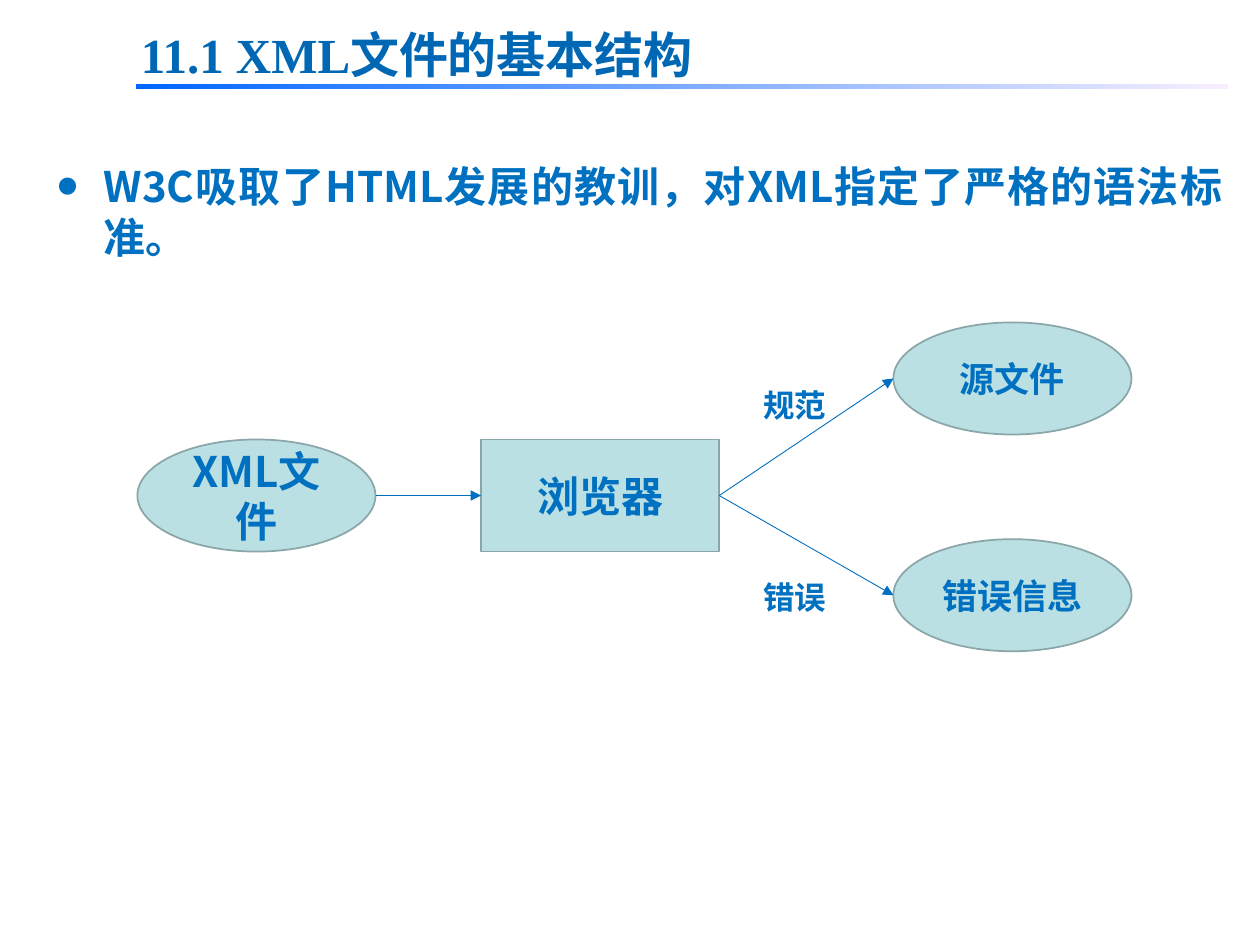
import dataclasses

import pptx
import pptx.dml.color
import pptx.enum.shapes
import pptx.enum.text
import pptx.oxml
import pptx.oxml.ns
import pptx.util

Cm = pptx.util.Cm
Pt = pptx.util.Pt
Align = pptx.enum.text.PP_ALIGN
Anchor = pptx.enum.text.MSO_ANCHOR
Kind = pptx.enum.shapes.MSO_SHAPE
NODE_W, NODE_H = 4.8, 2.26


@dataclasses.dataclass(frozen=True)
class Theme:
    ink: str = "0070C0"
    title: str = "0067B4"
    fill: str = "BBE0E3"
    edge: str = "8AA6A8"
    start: str = "0066FF"
    end: str = "F7EFFF"
    cjk: str = "Noto Sans CJK SC"
    sans: str = "Arial"
    alt: str = "Karla"
    serif: str = "Times New Roman"
    head: int = 28
    large: int = 24
    mid: int = 20
    small: int = 18


THEME = Theme()


def rgb(code):
    return pptx.dml.color.RGBColor.from_string(code)


def add_xml(parent, tag, **attrs):
    node = pptx.oxml.parse_xml(f"<a:{tag} {pptx.oxml.ns.nsdecls('a')}/>")
    for key, val in attrs.items():
        node.set(key, str(val))
    parent.append(node)


def write(shape, text, size=THEME.large, font=THEME.cjk, color=THEME.ink,
          align=Align.LEFT, anchor=Anchor.TOP):
    frame = shape.text_frame
    frame.word_wrap = True
    frame.vertical_anchor = anchor
    para = frame.paragraphs[0]
    para.alignment = align
    run = para.add_run()
    run.text = text
    run.font.size = Pt(size)
    run.font.bold = True
    run.font.name = font
    run.font.color.rgb = rgb(color)
    add_xml(run.font._element, "ea", typeface=THEME.cjk)
    return para


def add_text(slide, text, left, top, width, height, **style):
    box = slide.shapes.add_textbox(Cm(left), Cm(top), Cm(width), Cm(height))
    return write(box, text, **style)


def add_point(slide, text, *place):
    para = add_text(slide, text, *place, align=Align.JUSTIFY)
    para.space_before = Pt(THEME.large * 0.2)
    props = para._p.get_or_add_pPr()
    props.set("marL", str(Cm(0.95)))
    props.set("indent", str(Cm(-0.95)))
    add_xml(props, "buSzPct", val=150000)
    add_xml(props, "buFont", typeface=THEME.sans)
    add_xml(props, "buChar", char="•")


def add_node(slide, kind, text, left, top, **style):
    node = slide.shapes.add_shape(kind, Cm(left), Cm(top), Cm(NODE_W), Cm(NODE_H))
    node.shadow.inherit = False
    node.fill.solid()
    node.fill.fore_color.rgb = rgb(THEME.fill)
    node.line.color.rgb = rgb(THEME.edge)
    node.line.width = Pt(1)
    write(node, text, align=Align.CENTER, anchor=Anchor.MIDDLE, **style)
    return node


def add_arrow(slide, source, target):
    line = slide.shapes.add_connector(
        pptx.enum.shapes.MSO_CONNECTOR.STRAIGHT,
        source.left + source.width, source.top + source.height // 2,
        target.left, target.top + target.height // 2)
    line.line.color.rgb = rgb(THEME.ink)
    line.line.width = Pt(0.5)
    add_xml(line.line._get_or_add_ln(), "tailEnd", type="triangle")
    add_xml(line._element.spPr, "effectLst")


def add_rule(slide, left, top, width, height):
    bar = slide.shapes.add_shape(Kind.RECTANGLE, Cm(left), Cm(top), Cm(width), Cm(height))
    bar.shadow.inherit = False
    bar.line.fill.background()
    bar.fill.gradient()
    bar.fill.gradient_angle = 0
    for stop, color in zip(bar.fill.gradient_stops, (THEME.start, THEME.end)):
        stop.color.rgb = rgb(color)


def main():
    deck = pptx.Presentation()
    deck.slide_width, deck.slide_height = Cm(25.4), Cm(19.05)
    slide = deck.slides.add_slide(deck.slide_layouts[6])

    add_point(slide, "W3C吸取了HTML发展的教训，对XML指定了严格的语法标准。",
              0.89, 3.12, 24, 3.02)

    source = add_node(slide, Kind.OVAL, "XML文件", 2.77, 8.86)
    viewer = add_node(slide, Kind.RECTANGLE, "浏览器", 9.7, 8.86, font=THEME.sans)
    add_arrow(slide, source, viewer)
    for text, top, label, place in (("源文件", 6.5, "规范", 7.65),
                                    ("错误信息", 10.87, "错误", 11.53)):
        result = add_node(slide, Kind.OVAL, text, 18.01, top,
                          size=THEME.mid, font=THEME.alt)
        add_arrow(slide, viewer, result)
        add_text(slide, label, 15.14, place, 1.96, 1.02,
                 size=THEME.small, font=THEME.sans)

    add_rule(slide, 2.74, 1.7, 22.02, 0.1)
    add_text(slide, "11.1 XML文件的基本结构", 2.59, 0.36, 12.93, 1.45,
             size=THEME.head, font=THEME.serif, color=THEME.title,
             align=Align.JUSTIFY)
    deck.save("out.pptx")


if __name__ == "__main__":
    main()
